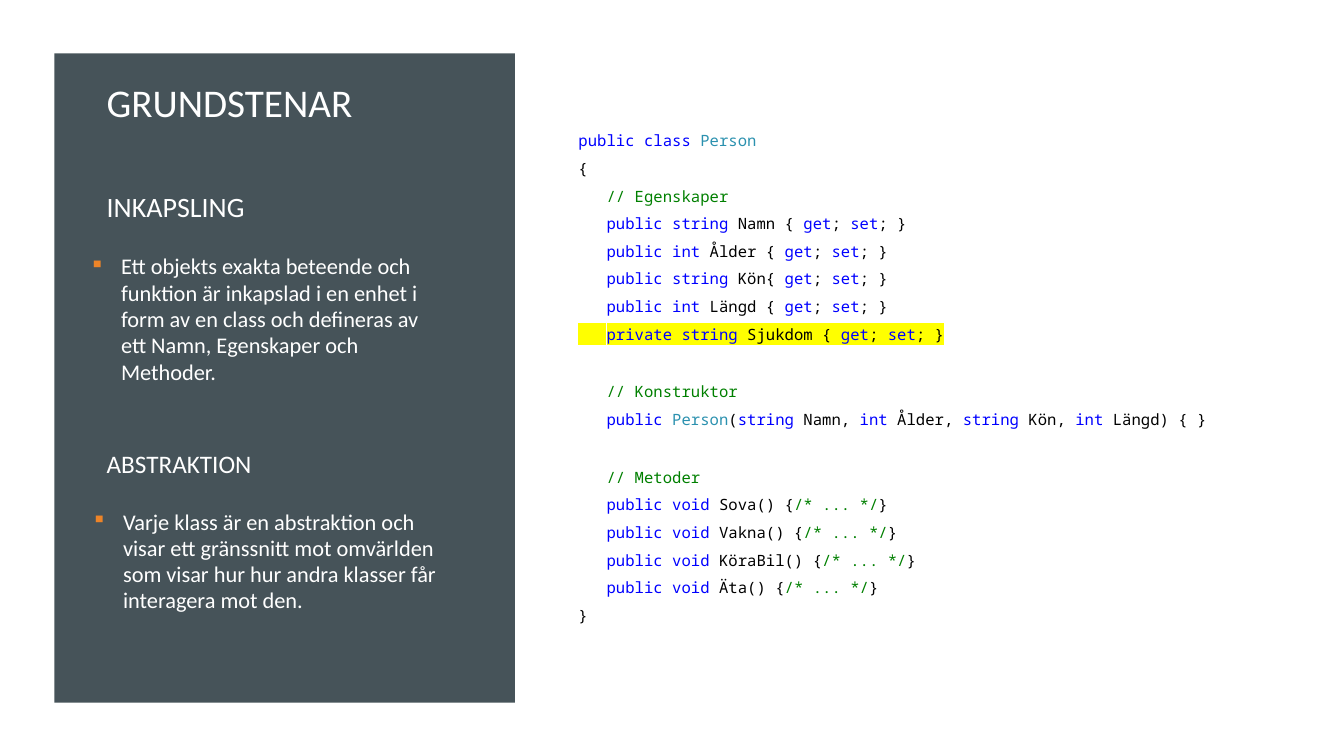
from dataclasses import dataclass

from lxml.etree import SubElement
from pptx import Presentation
from pptx.dml.color import RGBColor
from pptx.enum.shapes import MSO_SHAPE
from pptx.enum.text import MSO_ANCHOR
from pptx.oxml.ns import qn
from pptx.util import Pt


@dataclass(frozen=True)
class Theme:
    sans: str = "Calibri"
    mono: str = "Noto Sans Mono"
    panel: str = "465359"
    light: str = "FFFFFF"
    bullet: str = "ED8428"
    keyword: str = "0000FF"
    type_name: str = "2B91AF"
    comment: str = "008000"
    plain: str = "000000"
    highlight: str = "FFFF00"
    title_size: float = 28
    heading_size: float = 20
    subheading_size: float = 18
    body_size: float = 16
    code_size: float = 11.1


theme = Theme()


def add_text_frame(left, top, width, height, anchor):
    tf = s.shapes.add_textbox(Pt(left), Pt(top), Pt(width), Pt(height)).text_frame
    tf.word_wrap = True
    tf.vertical_anchor = anchor
    return tf


def style_run(r, font, size, color):
    r.font.size = Pt(size)
    r.font.color.rgb = RGBColor.from_string(color)
    r.font.name = font


prs = Presentation()
prs.slide_width, prs.slide_height = Pt(960), Pt(540)
s = prs.slides.add_slide(prs.slide_layouts[6])

panel = s.shapes.add_shape(MSO_SHAPE.RECTANGLE, Pt(38.9), Pt(38.2), Pt(329), Pt(463.7))
panel.shadow.inherit = False
panel.fill.solid()
panel.fill.fore_color.rgb = RGBColor.from_string(theme.panel)
panel.line.fill.background()

headings = [
    ("GRUNDSTENAR", 49, 46.8, theme.title_size),
    ("INKAPSLING", 109.4, 76.3, theme.heading_size),
    ("ABSTRAKTION", 293, 76.3, theme.subheading_size),
]
for text, top, height, size in headings:
    tf = add_text_frame(69.1, top, 257.8, height, MSO_ANCHOR.MIDDLE)
    tf.text = text
    style_run(tf.paragraphs[0].runs[0], theme.sans, size, theme.light)

descriptions = [
    ("Ett objekts exakta beteende och funktion är inkapslad i en enhet i form av "
     "en class och defineras av ett Namn, Egenskaper och Methoder.", 56.9, 177.8),
    ("Varje klass är en abstraktion och visar ett gränssnitt mot omvärlden som "
     "visar hur hur andra klasser får interagera mot den.", 58.3, 360),
]
for text, left, top in descriptions:
    tf = add_text_frame(left, top, 268.6, 130.3, MSO_ANCHOR.TOP)
    tf.text = text
    p = tf.paragraphs[0]
    p.line_spacing = 0.98
    p.space_before, p.space_after = Pt(3), Pt(6)
    style_run(p.runs[0], theme.sans, theme.body_size, theme.light)
    pPr = p._p.get_or_add_pPr()
    pPr.set("marL", str(Pt(22.5)))
    pPr.set("indent", str(Pt(-22.5)))
    SubElement(SubElement(pPr, qn("a:buClr")), qn("a:srgbClr"), val=theme.bullet)
    SubElement(pPr, qn("a:buSzPct"), val="92000")
    SubElement(pPr, qn("a:buChar"), char="▪")

keywords = {"public", "private", "class", "string", "int", "void", "get", "set"}
accessors = "{ |get|; |set|; }"
body = "() {|/* ... */|}"
marked_line = "   |private string| Sjukdom " + accessors
outer_lines = {"public class |Person", "{", "}", marked_line}
section_starts = {"// Konstruktor", "// Metoder"}
code_lines = [
    "public class |Person",
    "{",
    "// Egenskaper",
    "public string| Namn " + accessors,
    "public int| Ålder " + accessors,
    "public string| Kön" + accessors,
    "public int| Längd " + accessors,
    marked_line,
    "// Konstruktor",
    "public |Person|(|string| Namn, |int| Ålder, |string| Kön, |int| Längd) { }",
    "// Metoder",
    "public void| Sova" + body,
    "public void| Vakna" + body,
    "public void| KöraBil" + body,
    "public void| Äta" + body,
    "}",
]
line_pitch = 21.54
tf = add_text_frame(406.1, 87.8, 481, 364.3, MSO_ANCHOR.MIDDLE)
for i, line in enumerate(code_lines):
    p = tf.add_paragraph() if i else tf.paragraphs[0]
    p.space_before = Pt(line_pitch if line in section_starts else 0)
    p.space_after = Pt(6.4)
    if line not in outer_lines:
        p._p.get_or_add_pPr().set("marL", str(Pt(20.1)))
    for token in line.split("|"):
        words = token.split()
        if words and keywords.issuperset(words):
            color = theme.keyword
        elif token == "Person":
            color = theme.type_name
        elif token.startswith(("//", "/*")):
            color = theme.comment
        else:
            color = theme.plain
        r = p.add_run()
        r.text = token
        style_run(r, theme.mono, theme.code_size, color)
        if line == marked_line:
            rPr = r.font._element
            mark = SubElement(rPr, qn("a:highlight"))
            SubElement(mark, qn("a:srgbClr"), val=theme.highlight)
            rPr.find(qn("a:solidFill")).addnext(mark)

prs.save("out.pptx")
